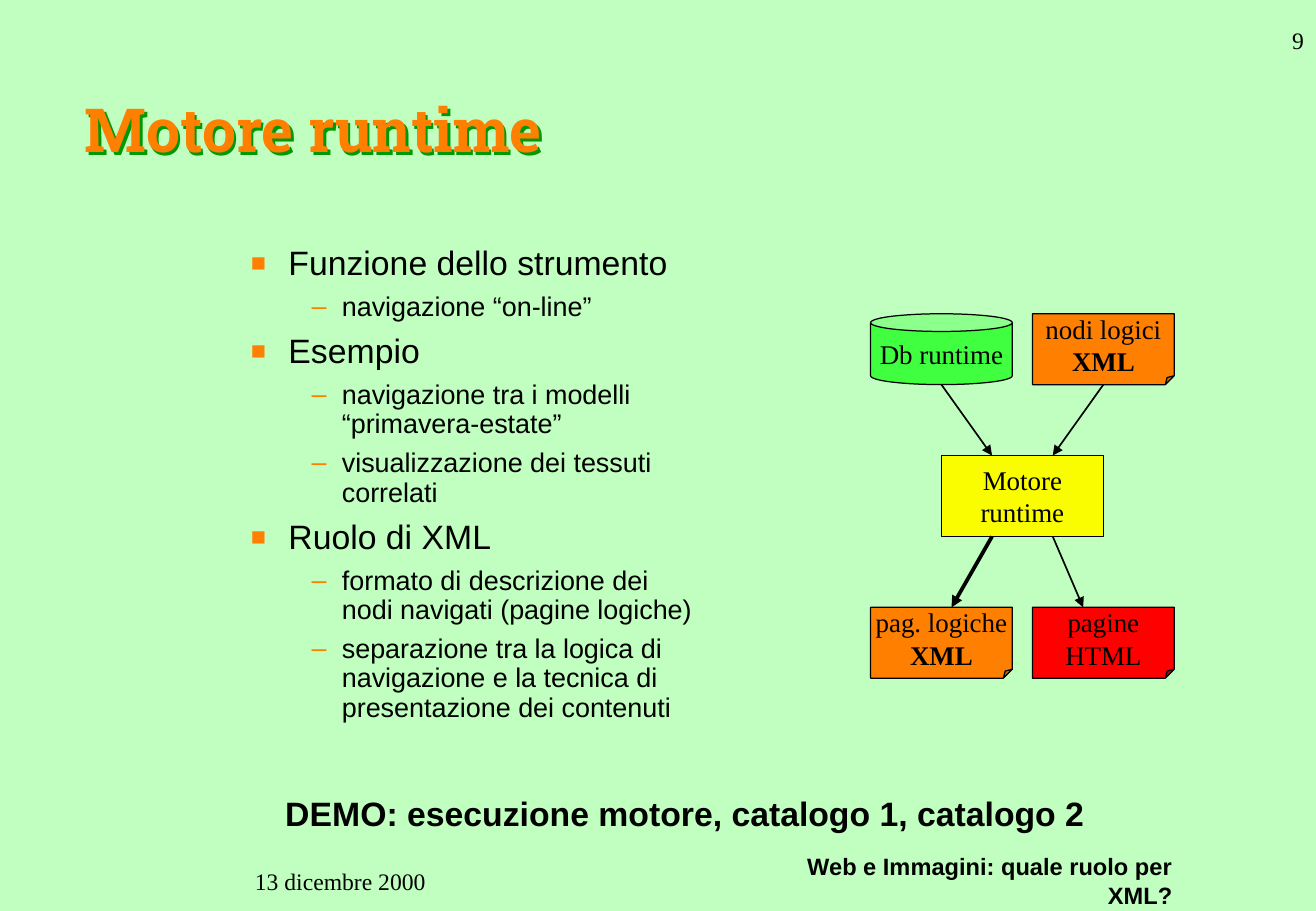
from dataclasses import dataclass

from lxml.etree import SubElement
from pptx import Presentation
from pptx.dml.color import RGBColor
from pptx.enum.shapes import MSO_CONNECTOR, MSO_SHAPE
from pptx.enum.text import MSO_ANCHOR, PP_ALIGN
from pptx.oxml.ns import qn
from pptx.util import Inches, Pt


@dataclass(frozen=True)
class Theme:
    """Colours, fonts and type sizes of the slide."""
    back: str = "C0FFC0"
    ink: str = "000000"
    accent: str = "FF8000"
    shade: str = "009900"
    store: str = "40FF40"
    motor: str = "FAFD00"
    page: str = "FF0000"
    head: str = "Roboto Slab"
    sans: str = "Arial"
    serif: str = "Times New Roman"
    title: int = 36
    large: int = 20
    small: int = 16
    note: int = 14


THEME = Theme()
COLS, ROWS = 130, 90
WIDTH, HEIGHT = Inches(10.84), Inches(7.5)

LEVELS = (
    {"size": THEME.large, "gap": 7.5, "left": 0.31, "hang": 0.31, "mark": "■", "scale": 75},
    {"size": THEME.small, "gap": 6, "left": 0.75, "hang": 0.25, "mark": "–", "scale": 100},
)
POINTS = (
    (0, "Funzione dello strumento"),
    (1, "navigazione “on-line”"),
    (0, "Esempio"),
    (1, "navigazione tra i modelli “primavera-estate”"),
    (1, "visualizzazione dei tessuti correlati"),
    (0, "Ruolo di XML"),
    (1, "formato di descrizione dei nodi navigati (pagine logiche)"),
    (1, "separazione tra la logica di navigazione e la tecnica di presentazione dei contenuti"),
)
FOLD = MSO_SHAPE.FOLDED_CORNER
NODES = (
    (MSO_SHAPE.CAN, (0, 0, 14, 7), THEME.store, 0.75, ("Db runtime",)),
    (FOLD, (16, 0, 14, 7), THEME.accent, 0.75, ("nodi logici", "XML")),
    (MSO_SHAPE.RECTANGLE, (7, 14, 16, 8), THEME.motor, 1, ("Motore", "runtime")),
    (FOLD, (0, 29, 14, 7), THEME.accent, 0.75, ("pag. logiche", "XML")),
    (FOLD, (16, 29, 14, 7), THEME.page, 0.75, ("pagine", "HTML")),
)
ARROWS = (
    ((7, 7), (12, 14), 1),
    ((23, 7), (18, 14), 1),
    ((12, 22), (8, 29), 2.25),
    ((18, 22), (21, 29), 1),
)


def grid(*cells):
    """Turn alternating columns and rows into slide lengths."""
    units = (WIDTH / COLS, HEIGHT / ROWS)
    return [round(cell * units[i % 2]) for i, cell in enumerate(cells)]


def assign(target, values):
    """Set each named attribute of the target."""
    for name, value in values.items():
        setattr(target, name, value)


def write(para, text, size, face, color=THEME.ink, bold=False):
    """Add one styled run to a paragraph."""
    run = para.add_run()
    run.text = text
    assign(run.font, {"size": Pt(size), "name": face, "bold": bold})
    run.font.color.rgb = RGBColor.from_string(color)


def label(slide, box, text, size, face, color=THEME.ink, bold=False,
          anchor=MSO_ANCHOR.MIDDLE, **layout):
    """Place a single paragraph of text in a grid box."""
    shape = slide.shapes.add_textbox(*grid(*box))
    frame = shape.text_frame
    assign(frame, {"word_wrap": True, "vertical_anchor": anchor})
    assign(frame.paragraphs[0], layout)
    write(frame.paragraphs[0], text, size, face, color, bold)
    return shape


def heading(slide, box):
    """Place the title with its coloured shadow."""
    shape = label(slide, box, "Motore runtime", THEME.title, THEME.head, THEME.accent,
                  True, MSO_ANCHOR.BOTTOM, line_spacing=0.9)
    effects = SubElement(shape.element.spPr, qn("a:effectLst"))
    shadow = SubElement(effects, qn("a:outerShdw"), dist=str(Pt(2)), dir="2700000")
    SubElement(shadow, qn("a:srgbClr"), val=THEME.shade)


def bullet(para, style):
    """Give a paragraph its indent and bullet mark."""
    props = para._p.get_or_add_pPr()
    props.set("marL", str(Inches(style["left"])))
    props.set("indent", str(-Inches(style["hang"])))
    color = SubElement(props, qn("a:buClr"))
    SubElement(color, qn("a:srgbClr"), val=THEME.accent)
    SubElement(props, qn("a:buSzPct"), val=str(style["scale"] * 1000))
    SubElement(props, qn("a:buFont"), typeface=THEME.sans)
    SubElement(props, qn("a:buChar"), char=style["mark"])


def outline(slide, box):
    """Place the two-level bullet list."""
    frame = slide.shapes.add_textbox(*grid(*box)).text_frame
    frame.word_wrap = True
    for i, (level, text) in enumerate(POINTS):
        para = frame.add_paragraph() if i else frame.paragraphs[0]
        style = LEVELS[level]
        assign(para, {"level": level, "line_spacing": 0.9, "space_before": Pt(style["gap"])})
        bullet(para, style)
        write(para, text, style["size"], THEME.sans)


def node(slide, kind, box, color, weight, lines):
    """Draw one filled shape of the diagram with its text."""
    shape = slide.shapes.add_shape(kind, *grid(*box))
    shape.shadow.inherit = False
    if kind == FOLD:
        guides = next(shape.element.spPr.iter(qn("a:avLst")))
        SubElement(guides, qn("a:gd"), name="adj", fmla="val 12500")
    shape.fill.solid()
    shape.fill.fore_color.rgb = RGBColor.from_string(color)
    shape.line.color.rgb = RGBColor.from_string(THEME.ink)
    shape.line.width = Pt(weight)
    frame = shape.text_frame
    assign(frame, {"word_wrap": False, "vertical_anchor": MSO_ANCHOR.MIDDLE})
    for i, text in enumerate(lines):
        para = frame.add_paragraph() if i else frame.paragraphs[0]
        para.alignment = PP_ALIGN.CENTER
        write(para, text, THEME.small, THEME.serif, bold=text == "XML")


def arrow(slide, start, end, weight):
    """Draw a straight arrow between two grid points."""
    link = slide.shapes.add_connector(MSO_CONNECTOR.STRAIGHT, *grid(*start, *end))
    link.line.color.rgb = RGBColor.from_string(THEME.ink)
    link.line.width = Pt(weight)
    props = link._element.spPr
    SubElement(props.find(qn("a:ln")), qn("a:tailEnd"), type="triangle")
    SubElement(props, qn("a:effectLst"))


def diagram(slide, left, top):
    """Place the runtime flow from its top left corner."""
    for kind, (x, y, w, h), color, weight, lines in NODES:
        node(slide, kind, (left + x, top + y, w, h), color, weight, lines)
    for (x1, y1), (x2, y2), weight in ARROWS:
        arrow(slide, (left + x1, top + y1), (left + x2, top + y2), weight)


def footer(slide, top, height):
    """Place the date and the talk title along the bottom."""
    label(slide, (77, top, 40, height), "Web e Immagini: quale ruolo per XML?",
          THEME.note, THEME.sans, bold=True, alignment=PP_ALIGN.RIGHT)
    label(slide, (24, top, 27, height), "13 dicembre 2000", THEME.note, THEME.serif)


def main():
    """Build and save the slide."""
    deck = Presentation()
    assign(deck, {"slide_width": WIDTH, "slide_height": HEIGHT})
    slide = deck.slides.add_slide(deck.slide_layouts[6])
    slide.background.fill.solid()
    slide.background.fill.fore_color.rgb = RGBColor.from_string(THEME.back)
    heading(slide, (7.2, 2.5, 110.9, 14.5))
    outline(slide, (23.6, 23.75, 46, 54))
    diagram(slide, 86, 31)
    label(slide, (27, 77.75, 88, 6.25), "DEMO: esecuzione motore, catalogo 1, catalogo 2",
          THEME.large, THEME.sans, bold=True, anchor=MSO_ANCHOR.TOP, space_before=Pt(12.5))
    footer(slide, 84, 6)
    label(slide, (103, 1, 27, 6), "9", THEME.note, THEME.serif, alignment=PP_ALIGN.RIGHT)
    deck.save("out.pptx")


if __name__ == "__main__":
    main()
